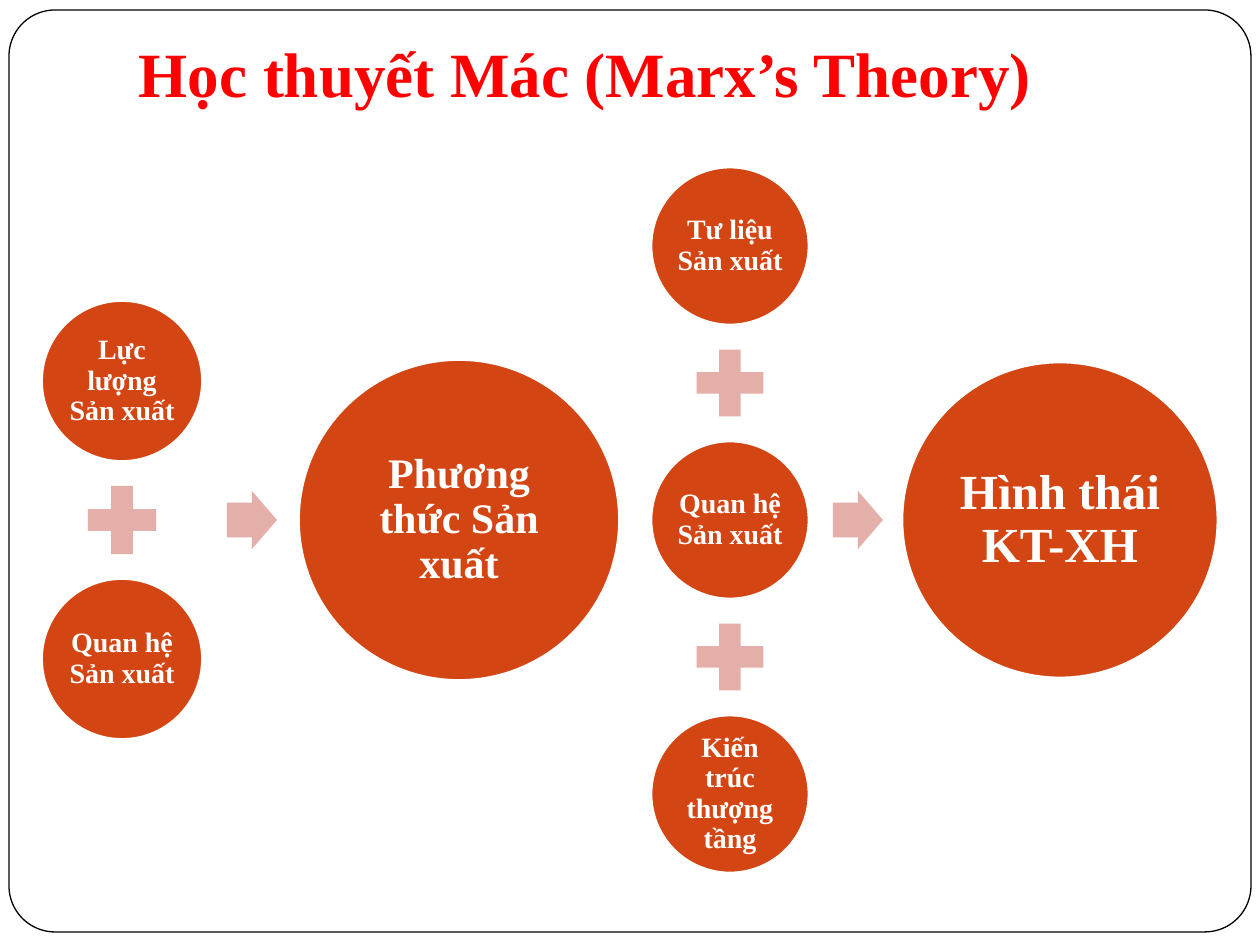
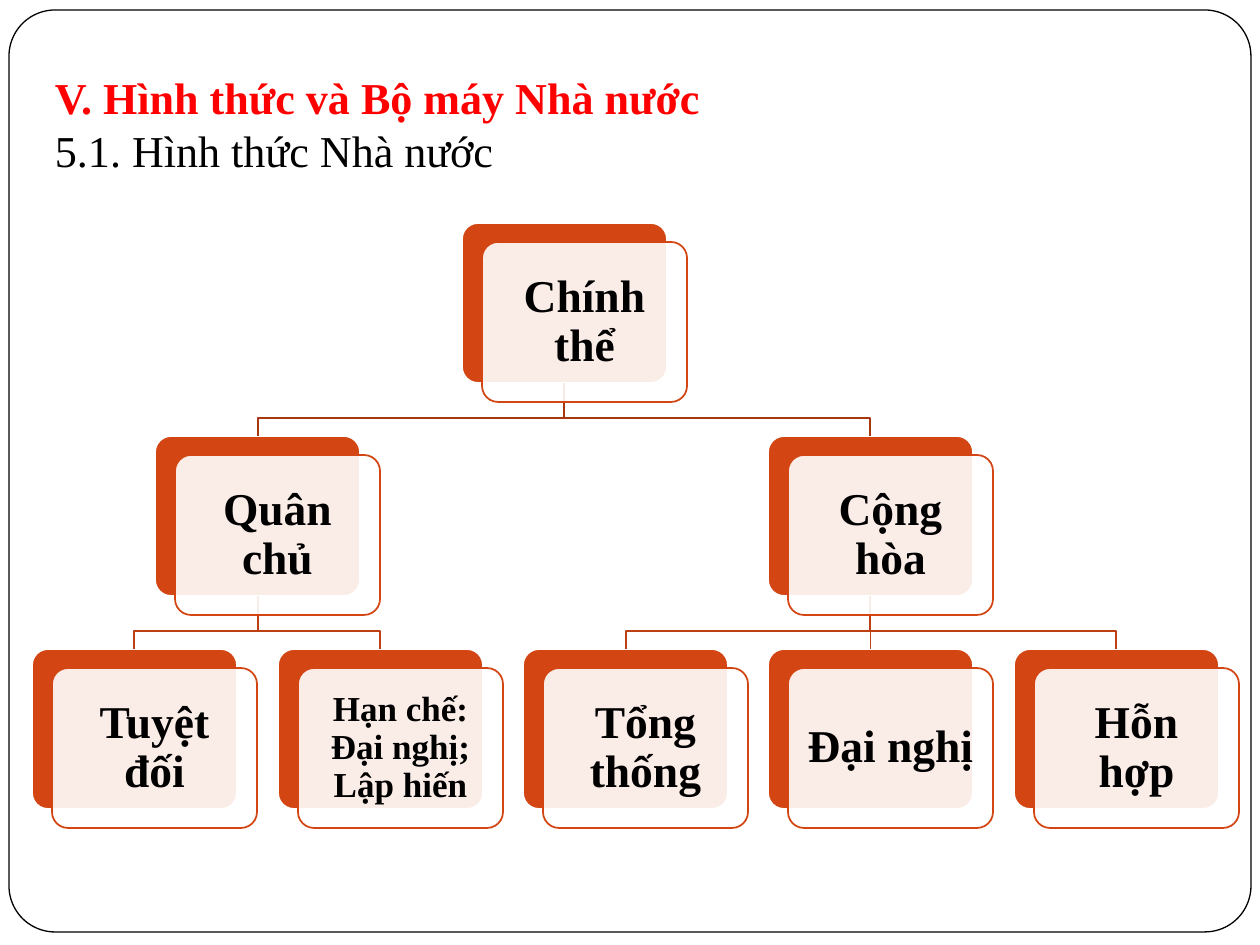
"""Build two Vietnamese slides: Marx's theory diagram and the tree of state forms."""
import lxml.etree
import pptx
import pptx.dml.color
import pptx.enum.shapes
import pptx.enum.text
import pptx.oxml.ns
import pptx.util

RGBColor = pptx.dml.color.RGBColor
SHAPE = pptx.enum.shapes.MSO_SHAPE
ANCHOR = pptx.enum.text.MSO_ANCHOR
ALIGN = pptx.enum.text.PP_ALIGN

RED = RGBColor(0xFF, 0x00, 0x00)
BLACK = RGBColor(0x00, 0x00, 0x00)
WHITE = RGBColor(0xFF, 0xFF, 0xFF)
ORANGE = RGBColor(0xD3, 0x46, 0x14)
PINK = RGBColor(0xE5, 0xAF, 0xA9)
UPPER_LINE = RGBColor(0xA7, 0x37, 0x0F)
LOWER_LINE = RGBColor(0xBD, 0x3F, 0x12)
FONT = "Times New Roman"
SCALE = 914400 / 126


def add_figure(slide, kind, box, fill, line=None, adjustments=(), line_width=1):
    shape = slide.shapes.add_shape(kind, *[round(length * SCALE) for length in box])
    shape.shadow.inherit = False
    for index, value in enumerate(adjustments):
        shape.adjustments[index] = value
    shape.fill.solid()
    shape.fill.fore_color.rgb = fill
    if line is None:
        shape.line.fill.background()
    else:
        shape.line.color.rgb = line
        shape.line.width = pptx.util.Pt(line_width)
    return shape


def write(shape, text, size, color, insets, align=ALIGN.CENTER, anchor=ANCHOR.MIDDLE, spacing=0.9):
    frame = shape.text_frame
    frame.word_wrap = True
    frame.vertical_anchor = anchor
    frame.margin_left, frame.margin_top, frame.margin_right, frame.margin_bottom = [
        round(inset * SCALE) for inset in insets]
    frame.text = text
    paragraph = frame.paragraphs[0]
    paragraph.alignment = align
    paragraph.line_spacing = spacing
    for run in paragraph.runs:
        run.font.name = FONT
        run.font.size = pptx.util.Pt(size)
        run.font.bold = True
        run.font.color.rgb = color
    return paragraph


presentation = pptx.Presentation()
presentation.slide_width = round(1260 * SCALE)
presentation.slide_height = round(945 * SCALE)

titles = [
    ("Học thuyết Mác (Marx’s Theory)", 36, (126, 38, 1071, 85)),
    ("V. Hình thức và Bộ máy Nhà nước\v5.1. Hình thức Nhà nước", 25.2, (42, 63, 1197, 126)),
]
slides = []
for title, size, box in titles:
    slide = presentation.slides.add_slide(presentation.slide_layouts[6])
    add_figure(slide, SHAPE.ROUNDED_RECTANGLE, (9, 10, 1242, 922), WHITE, BLACK, [0.05], 0.75)
    title_box = slide.shapes.add_textbox(*[round(length * SCALE) for length in box])
    title_paragraph = write(title_box, title, size, RED, (13, 6, 13, 13),
                            ALIGN.LEFT, ANCHOR.BOTTOM, 1.0)
    for subtitle_run in title_paragraph.runs[1:]:
        subtitle_run.font.bold = False
        subtitle_run.font.color.rgb = BLACK
    slides.append(slide)
theory_slide, state_slide = slides

MIDDLE = 520
equations = [
    (["Lực lượng Sản xuất", "Quan hệ Sản xuất"], 122, 160, 278, 93, 252,
     "Phương thức Sản xuất", 459, 320, 24),
    (["Tư liệu Sản xuất", "Quan hệ Sản xuất", "Kiến trúc thượng tầng"], 730, 157, 274, 91, 858,
     "Hình thái KT-XH", 1060, 315, 28),
]
for terms, term_x, diameter, step, plus, arrow_x, result, result_x, result_diameter, size in equations:
    first_y = MIDDLE - step * (len(terms) - 1) / 2
    circles = [(term, term_x, first_y + step * index, diameter, 16, 2)
               for index, term in enumerate(terms)]
    circles.append((result, result_x, MIDDLE, result_diameter, size, 4))
    for text, x, y, width, font_size, inset in circles:
        circle = add_figure(theory_slide, SHAPE.OVAL,
                            (x - width / 2, y - width / 2, width, width), ORANGE, WHITE)
        write(circle, text, font_size, WHITE, [inset] * 4)
    for index in range(len(terms) - 1):
        plus_y = first_y + step * (index + 0.5)
        add_figure(theory_slide, SHAPE.MATH_PLUS,
                   (term_x - plus / 2, plus_y - plus / 2, plus, plus), PINK)
    add_figure(theory_slide, SHAPE.RIGHT_ARROW, (arrow_x - 25, MIDDLE - 29, 50, 58),
               PINK, adjustments=[0.6, 0.5])

CARD_WIDTH, CARD_HEIGHT = 205, 160
nodes = [
    ("Chính thể", 1.75, 0, None),
    ("Quân chủ", 0.5, 1, 0),
    ("Cộng hòa", 3, 1, 0),
    ("Tuyệt đối", 0, 2, 1),
    ("Hạn chế: Đại nghị; Lập hiến", 1, 2, 1),
    ("Tổng thống", 2, 2, 2),
    ("Đại nghị", 3, 2, 2),
    ("Hỗn hợp", 4, 2, 2),
]
corners = [(32 + round(245.5 * column), 223 + 213 * row) for text, column, row, parent in nodes]
cards = [add_figure(state_slide, SHAPE.ROUNDED_RECTANGLE, (left, top, CARD_WIDTH, CARD_HEIGHT),
                    ORANGE, WHITE, [0.1]) for left, top in corners]

for child, (text, column, row, parent) in enumerate(nodes):
    if parent is None:
        continue
    start_x, start_y = corners[parent][0] + CARD_WIDTH / 2, corners[parent][1] + CARD_HEIGHT
    end_x, end_y = corners[child][0] + CARD_WIDTH / 2, corners[child][1]
    if start_x == end_x:
        branch = state_slide.shapes.add_connector(pptx.enum.shapes.MSO_CONNECTOR.STRAIGHT, 0, 0, 0, 0)
        branch.begin_connect(cards[parent], 2)
        branch.end_connect(cards[child], 0)
        lxml.etree.SubElement(branch.line._get_or_add_ln().getparent(),
                              pptx.oxml.ns.qn("a:effectLst"))
    else:
        builder = state_slide.shapes.build_freeform(start_x, start_y, SCALE)
        bend_y = start_y + 35
        builder.add_line_segments([(start_x, bend_y), (end_x, bend_y), (end_x, end_y)], close=False)
        branch = builder.convert_to_shape()
        branch.shadow.inherit = False
        branch.fill.background()
    branch.line.color.rgb = UPPER_LINE if row == 1 else LOWER_LINE
    branch.line.width = pptx.util.Pt(1)

for (text, column, row, parent), (left, top) in zip(nodes, corners):
    label = add_figure(state_slide, SHAPE.ROUNDED_RECTANGLE,
                       (left + 20, top + 19, CARD_WIDTH, CARD_HEIGHT), WHITE, ORANGE, [0.1])
    fill_color = label.fill._xPr.find(pptx.oxml.ns.qn("a:solidFill"))[0]
    lxml.etree.SubElement(fill_color, pptx.oxml.ns.qn("a:alpha"), val="90000")
    size, inset = (20, 10) if len(text) > 12 else (26, 14)
    write(label, text, size, BLACK, [inset] * 4)

presentation.save("out.pptx")
